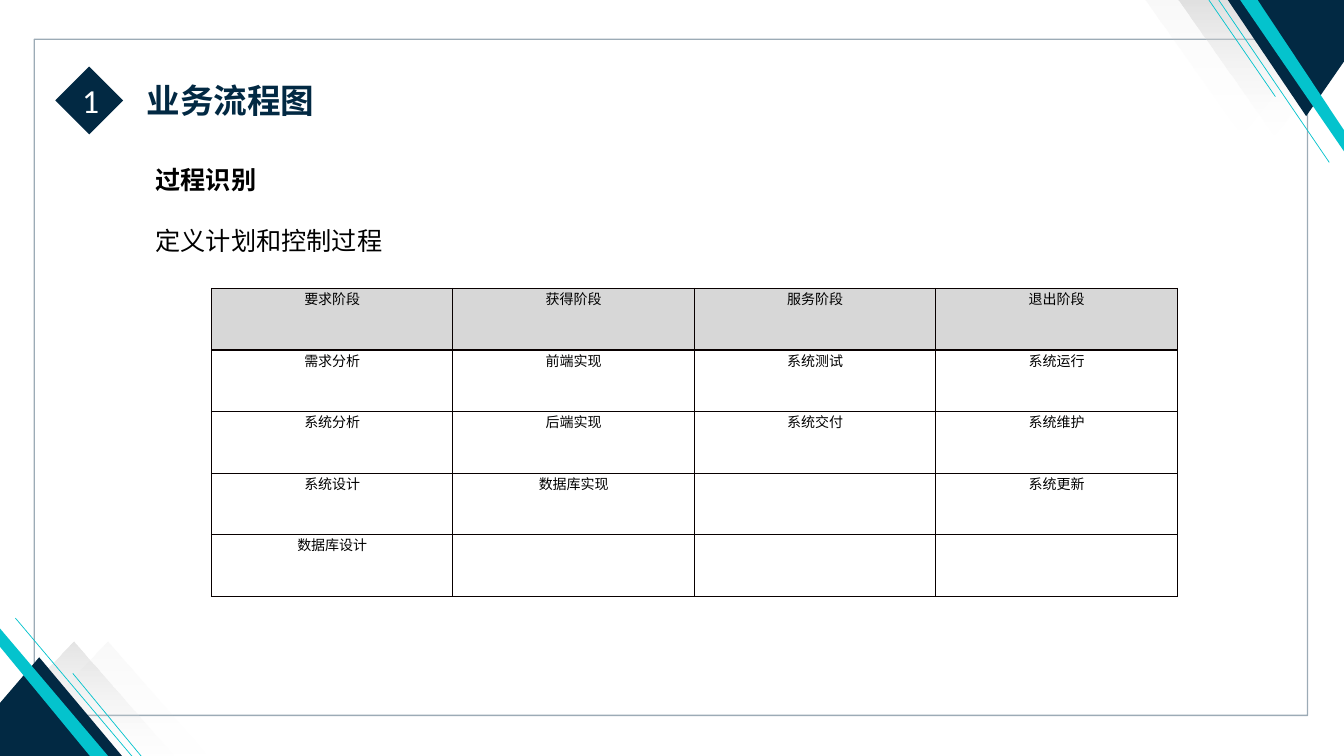
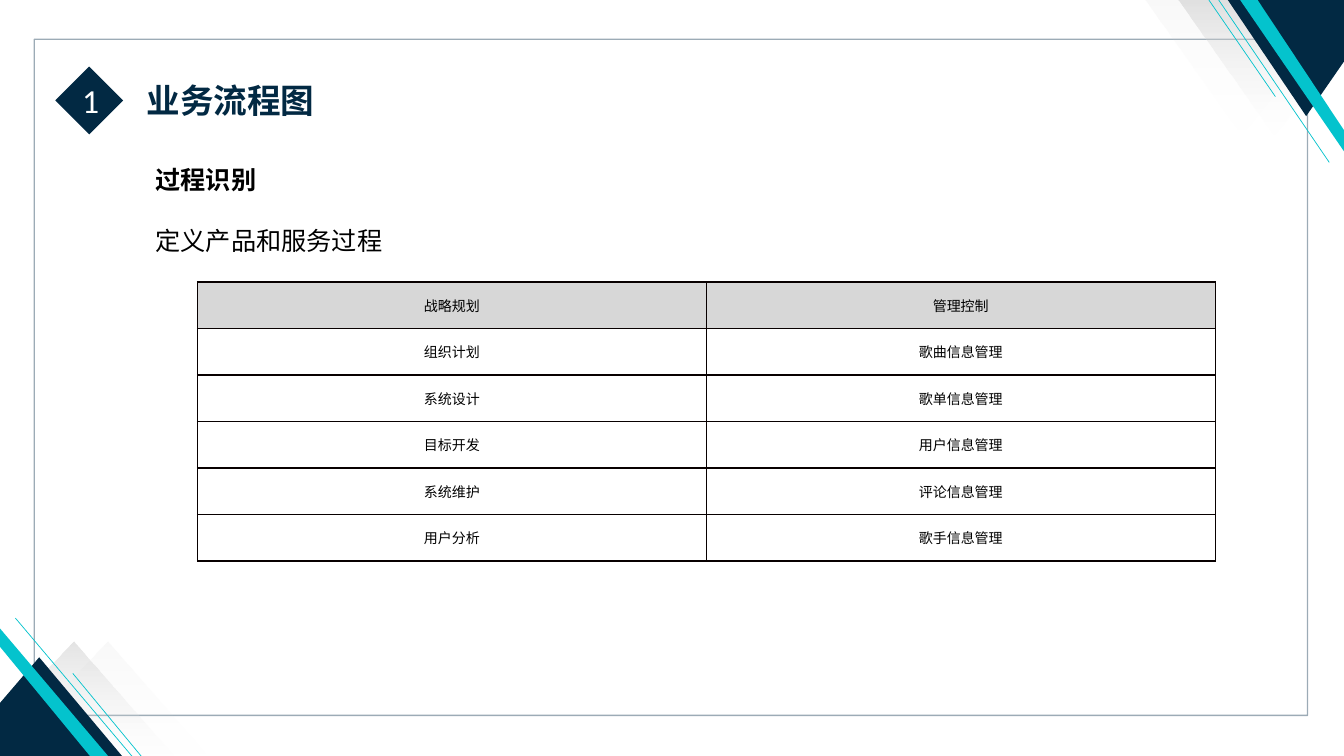
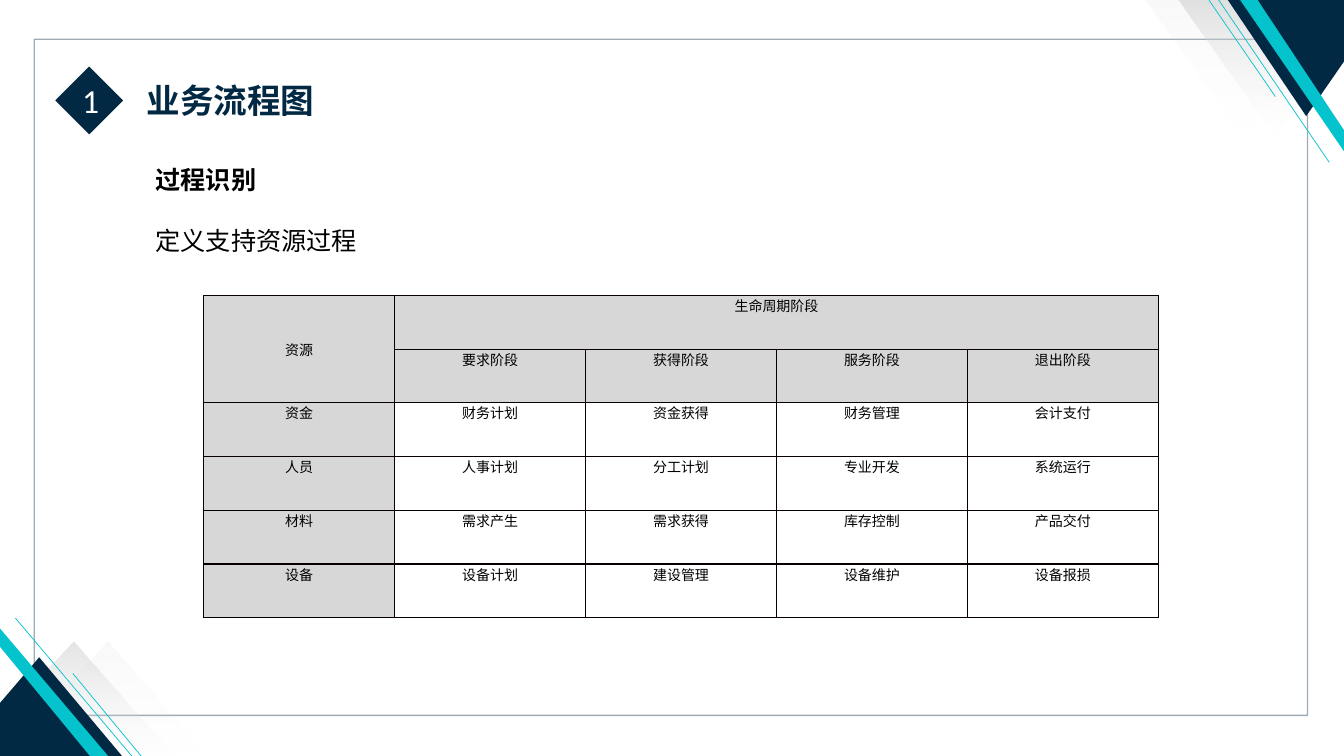
"""Build three business process slides, each with a titled table."""
import lxml.etree
import pptx
import pptx.dml.color
import pptx.enum.shapes
import pptx.enum.text
import pptx.oxml.ns
import pptx.util

Pt = pptx.util.Pt
qn = pptx.oxml.ns.qn
RGB = pptx.dml.color.RGBColor.from_string
SHAPE = pptx.enum.shapes.MSO_SHAPE
ALIGN = pptx.enum.text.PP_ALIGN
ANCHOR = pptx.enum.text.MSO_ANCHOR
COLORS = {
    "navy": "022943", "teal": "04C3CD", "pale": "F0F0F0", "grey": "C8C8C8",
    "head": "D7D7D7", "border": "080000", "black": "000000", "white": "FFFFFF",
}


def style(p, size, color, font="Calibri", bold=False):
    for r in p.runs:
        r.font.size = Pt(size)
        r.font.name = font
        r.font.bold = bold
        r.font.color.rgb = RGB(COLORS[color])
        ea = lxml.etree.SubElement(r.font._element, qn("a:ea"))
        ea.set("typeface", font)


def set_alpha(clr, percent):
    lxml.etree.SubElement(clr, qn("a:alpha")).set("val", str(percent * 1000))


top_ghost = [(818.5, 0), (887, 96.5), (929, 42.5), (929.5, -0.5)]
low_ghost = [(150.5, 541.5), (77, 458), (32.5, 504.5), (32.5, 541.5)]
ghosts = [
    (top_ghost, 0, 12), (top_ghost, 23, 49),
    (low_ghost, 0, 12), (low_ghost, -24.5, 49),
]
bands = [
    ([(877, 0), (933, 83), (961, 42.5), (961, 0)], "navy"),
    ([(961, 109.5), (885.5, -0.5), (898, -0.5), (961, 94.5)], "teal"),
    ([(88, 541), (28, 469.5), (-2, 504.5), (-2, 541.5)], "navy"),
    ([(-2, 446.5), (78.5, 541.5), (65.5, 541.5), (-2, 459.5)], "teal"),
]
hairlines = [
    (870.5, 0, 949.5, 116), (863.5, 0, 911, 69),
    (95, 541, 11, 441.5), (102, 541.5, 52, 481),
]
pages = [
    {
        "subtitle": "定义计划和控制过程",
        "at": (151, 206), "col": 172.5, "row": 44, "anchor": ANCHOR.TOP,
        "head_rows": 1, "head_cols": 0, "merges": [],
        "rows": [
            ["要求阶段", "获得阶段", "服务阶段", "退出阶段"],
            ["需求分析", "前端实现", "系统测试", "系统运行"],
            ["系统分析", "后端实现", "系统交付", "系统维护"],
            ["系统设计", "数据库实现", "", "系统更新"],
            ["数据库设计", "", "", ""],
        ],
    },
    {
        "subtitle": "定义产品和服务过程",
        "at": (141, 201.5), "col": 363.5, "row": 33.2, "anchor": ANCHOR.MIDDLE,
        "head_rows": 1, "head_cols": 0, "merges": [],
        "rows": [
            ["战略规划", "管理控制"],
            ["组织计划", "歌曲信息管理"],
            ["系统设计", "歌单信息管理"],
            ["目标开发", "用户信息管理"],
            ["系统维护", "评论信息管理"],
            ["用户分析", "歌手信息管理"],
        ],
    },
    {
        "subtitle": "定义支持资源过程",
        "at": (145.5, 211), "col": 136.4, "row": 38.4, "anchor": ANCHOR.TOP,
        "head_rows": 2, "head_cols": 1, "merges": [(0, 0, 1, 0), (0, 1, 0, 4)],
        "rows": [
            ["资源", "生命周期阶段", "", "", ""],
            ["", "要求阶段", "获得阶段", "服务阶段", "退出阶段"],
            ["资金", "财务计划", "资金获得", "财务管理", "会计支付"],
            ["人员", "人事计划", "分工计划", "专业开发", "系统运行"],
            ["材料", "需求产生", "需求获得", "库存控制", "产品交付"],
            ["设备", "设备计划", "建设管理", "设备维护", "设备报损"],
        ],
    },
]

prs = pptx.Presentation()
prs.slide_width, prs.slide_height = Pt(960), Pt(540)
layout = prs.slide_layouts[6]
for ph in list(layout.placeholders):
    ph.element.getparent().remove(ph.element)
slides = [prs.slides.add_slide(layout) for page in pages]

shapes = slides[0].shapes
frame = shapes.add_shape(SHAPE.RECTANGLE, Pt(24.5), Pt(28), Pt(909.5), Pt(483))
frame.shadow.inherit = False
frame.fill.background()
frame.line.width = Pt(1)
frame.line.color.rgb = RGB(COLORS["navy"])
set_alpha(frame.element.xpath(".//a:ln//a:srgbClr")[0], 39)

outlines = [([(x + dx, y) for x, y in pts], None, alpha) for pts, dx, alpha in ghosts]
outlines += [(pts, color, None) for pts, color in bands]
for pts, color, alpha in outlines:
    pts = [(Pt(x), Pt(y)) for x, y in pts]
    builder = shapes.build_freeform(*pts[0])
    builder.add_line_segments(pts[1:], close=True)
    sp = builder.convert_to_shape()
    sp.shadow.inherit = False
    sp.line.fill.background()
    if color:
        sp.fill.solid()
        sp.fill.fore_color.rgb = RGB(COLORS[color])
        continue
    sp.fill.gradient()
    sp.fill.gradient_angle = 90
    for stop, name in zip(sp.fill.gradient_stops, ("pale", "grey")):
        stop.color.rgb = RGB(COLORS[name])
    for clr, percent in zip(sp.element.xpath(".//a:gs/a:srgbClr"), (0, alpha)):
        set_alpha(clr, percent)

for ends in hairlines:
    line = shapes.add_connector(
        pptx.enum.shapes.MSO_CONNECTOR.STRAIGHT, *[Pt(v) for v in ends])
    line.line.width = Pt(0.5)
    line.line.color.rgb = RGB(COLORS["teal"])
    lxml.etree.SubElement(line.element.spPr, qn("a:effectLst"))

for sp in list(shapes):
    layout.shapes.element.append(sp.element)

for s, page in zip(slides, pages):
    badge = s.shapes.add_shape(SHAPE.DIAMOND, Pt(39.5), Pt(47.5), Pt(48.5), Pt(48.5))
    badge.shadow.inherit = False
    badge.fill.solid()
    badge.fill.fore_color.rgb = RGB(COLORS["navy"])
    badge.line.fill.background()
    badge.text_frame.text = "1"
    badge.text_frame.vertical_anchor = ANCHOR.MIDDLE
    p = badge.text_frame.paragraphs[0]
    p.alignment = ALIGN.CENTER
    style(p, 24, "white")

    title = s.shapes.add_textbox(Pt(97.5), Pt(53.5), Pt(134.5), Pt(36))
    title.text_frame.text = "业务流程图"
    title.text_frame.word_wrap = False
    style(title.text_frame.paragraphs[0], 24, "navy", bold=True)

    body = s.shapes.add_textbox(Pt(104), Pt(114), Pt(764), Pt(160))
    tf = body.text_frame
    tf.word_wrap = True
    tf.text = "过程识别\n" + page["subtitle"]
    tf.paragraphs[0].space_after = Pt(22)
    for p, bold in zip(tf.paragraphs, (True, False)):
        style(p, 18, "black", bold=bold)

    rows = page["rows"]
    n_rows, n_cols = len(rows), len(rows[0])
    left, top = page["at"]
    table = s.shapes.add_table(
        n_rows, n_cols, Pt(left), Pt(top),
        Pt(n_cols * page["col"]), Pt(n_rows * page["row"])).table
    table.first_row = table.horz_banding = False
    for i, row in enumerate(rows):
        table.rows[i].height = Pt(page["row"])
        for j, text in enumerate(row):
            table.columns[j].width = Pt(page["col"])
            cell = table.cell(i, j)
            cell.text = text
            cell.vertical_anchor = page["anchor"]
            cell.margin_left = cell.margin_right = Pt(5)
            cell.margin_top = cell.margin_bottom = 0
            p = cell.text_frame.paragraphs[0]
            p.alignment = ALIGN.CENTER
            style(p, 10, "black", "Noto Sans CJK SC")
            for side in ("lnL", "lnR", "lnT", "lnB"):
                ln = lxml.etree.SubElement(cell._tc.tcPr, qn("a:" + side), w=str(Pt(1)))
                fill = lxml.etree.SubElement(ln, qn("a:solidFill"))
                lxml.etree.SubElement(fill, qn("a:srgbClr"), val=COLORS["border"])
            if i < page["head_rows"] or j < page["head_cols"]:
                cell.fill.solid()
                cell.fill.fore_color.rgb = RGB(COLORS["head"])
            else:
                cell.fill.background()
    for r1, c1, r2, c2 in page["merges"]:
        table.cell(r1, c1).merge(table.cell(r2, c2))
        if r2 > r1:
            table.cell(r1, c1).vertical_anchor = ANCHOR.MIDDLE

prs.save("out.pptx")
